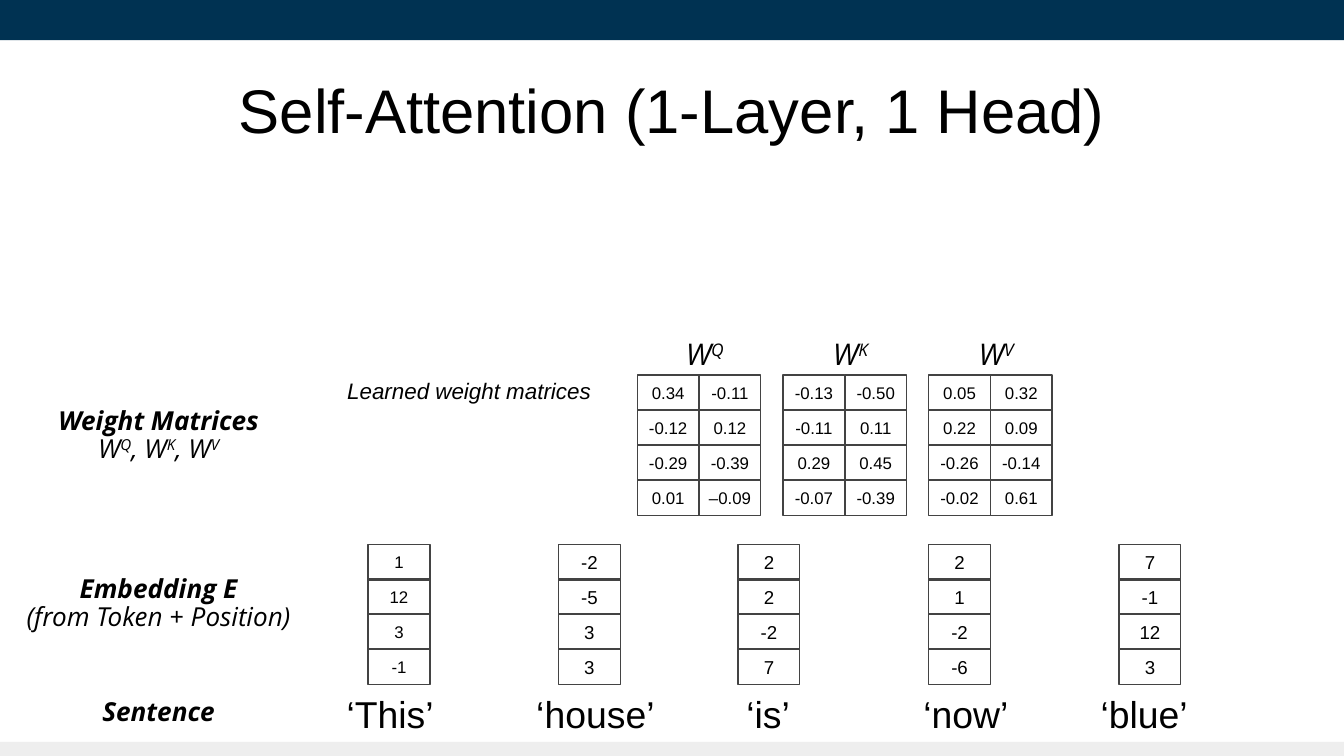
from pptx import Presentation
from pptx.dml.color import RGBColor
from pptx.enum.shapes import MSO_SHAPE
from pptx.enum.text import MSO_ANCHOR, PP_ALIGN
from pptx.util import Pt

RECTANGLE = MSO_SHAPE.RECTANGLE
MIDDLE, TOP = MSO_ANCHOR.MIDDLE, MSO_ANCHOR.TOP
CENTER, LEFT = PP_ALIGN.CENTER, PP_ALIGN.LEFT
COLORS = {name: RGBColor.from_string(value) for name, value in {
    "navy": "003252", "gray": "EEEEEE", "line": "434343", "text": "000000"}.items()}

deck = Presentation()
deck.slide_width, deck.slide_height = Pt(720), Pt(405)
page = deck.slides.add_slide(deck.slide_layouts[6])


def add_rectangle(left, top, width, height, fill=None):
    box = page.shapes.add_shape(RECTANGLE, Pt(left), Pt(top), Pt(width), Pt(height))
    box.shadow.inherit = False
    if fill:
        box.fill.solid()
        box.fill.fore_color.rgb = COLORS[fill]
        box.line.fill.background()
    else:
        box.fill.background()
        box.line.color.rgb = COLORS["line"]
        box.line.width = Pt(0.75)
    return box


def write(box, lines, size, font="Arial", bold=False, italic=False, align=CENTER, anchor=MIDDLE):
    """Write one paragraph per line; the letter after a ^ is a superscript. Only line one can be bold."""
    frame = box.text_frame
    frame.word_wrap = True
    frame.vertical_anchor = anchor
    frame.margin_left = frame.margin_right = frame.margin_top = frame.margin_bottom = 0
    for number, line in enumerate(lines):
        para = frame.add_paragraph() if number else frame.paragraphs[0]
        para.alignment = align
        para.font.size, para.font.name = Pt(size), font
        para.font.bold, para.font.italic = bold and number == 0, italic
        para.font.color.rgb = COLORS["text"]
        if font == "Open Sans":
            para.line_spacing = 0.88
        plain, *raised = line.split("^")
        para.add_run().text = plain
        for part in raised:
            span = para.add_run()
            span.text = part[0]
            span._r.get_or_add_rPr().set("baseline", "30000")
            if part[1:]:
                para.add_run().text = part[1:]


# Top and bottom bands
add_rectangle(0, 0, 720, 21.5, "navy")
add_rectangle(0, 397.5, 720, 7.5, "gray")

# Title
title = page.shapes.add_textbox(Pt(24.5), Pt(25.5), Pt(671), Pt(65.5))
write(title, ["Self-Attention (1-Layer, 1 Head)"], 33)

# Row labels
for top, lines in [
    (219, ["Weight Matrices", "W^Q, W^K, W^V"]),
    (309, ["Embedding E", "(from Token + Position)"]),
    (375, ["Sentence"]),
]:
    label = page.shapes.add_textbox(Pt(0), Pt(top), Pt(170), Pt(17 * len(lines)))
    write(label, lines, 14, "Open Sans", bold=True, italic=True, anchor=TOP)

# Weight matrices
CELL_WIDTH, CELL_HEIGHT, ROW_STEP = 33.1, 19.1, 18.72
note = page.shapes.add_textbox(Pt(186), Pt(201), Pt(150), Pt(16))
write(note, ["Learned weight matrices"], 12, italic=True, align=LEFT)

matrices = [
    ("W^Q", 341.4, [("0.34", "-0.11"), ("-0.12", "0.12"), ("-0.29", "-0.39"), ("0.01", "–0.09")]),
    ("W^K", 419.5, [("-0.13", "-0.50"), ("-0.11", "0.11"), ("0.29", "0.45"), ("-0.07", "-0.39")]),
    ("W^V", 497.5, [("0.05", "0.32"), ("0.22", "0.09"), ("-0.26", "-0.14"), ("-0.02", "0.61")]),
]
for name, left, rows in matrices:
    heading = page.shapes.add_textbox(Pt(left + 3), Pt(181), Pt(2 * CELL_WIDTH), Pt(20))
    write(heading, [name], 16, "Open Sans", italic=True)
    for row, values in enumerate(rows):
        for column, value in enumerate(values):
            cell = add_rectangle(left + column * CELL_WIDTH, 200.9 + row * ROW_STEP,
                                 CELL_WIDTH, CELL_HEIGHT)
            write(cell, [value], 9)

# Embedding vectors above the words of the sentence
embeddings = [
    ("‘This’", 209, 197.2, 9, ["1", "12", "3", "-1"]),
    ("‘house’", 319, 299.2, 10, ["-2", "-5", "3", "3"]),
    ("‘is’", 411.5, 395.4, 10, ["2", "2", "-2", "7"]),
    ("‘now’", 517.5, 497.5, 10, ["2", "1", "-2", "-6"]),
    ("‘blue’", 613, 599.5, 10, ["7", "-1", "12", "3"]),
]
for word, center, left, size, values in embeddings:
    for row, value in enumerate(values):
        cell = add_rectangle(left, 291.6 + row * ROW_STEP, CELL_WIDTH, CELL_HEIGHT)
        write(cell, [value], size)
    caption = page.shapes.add_textbox(Pt(center - 45), Pt(371), Pt(90), Pt(23))
    write(caption, [word], 20)

deck.save("out.pptx")
